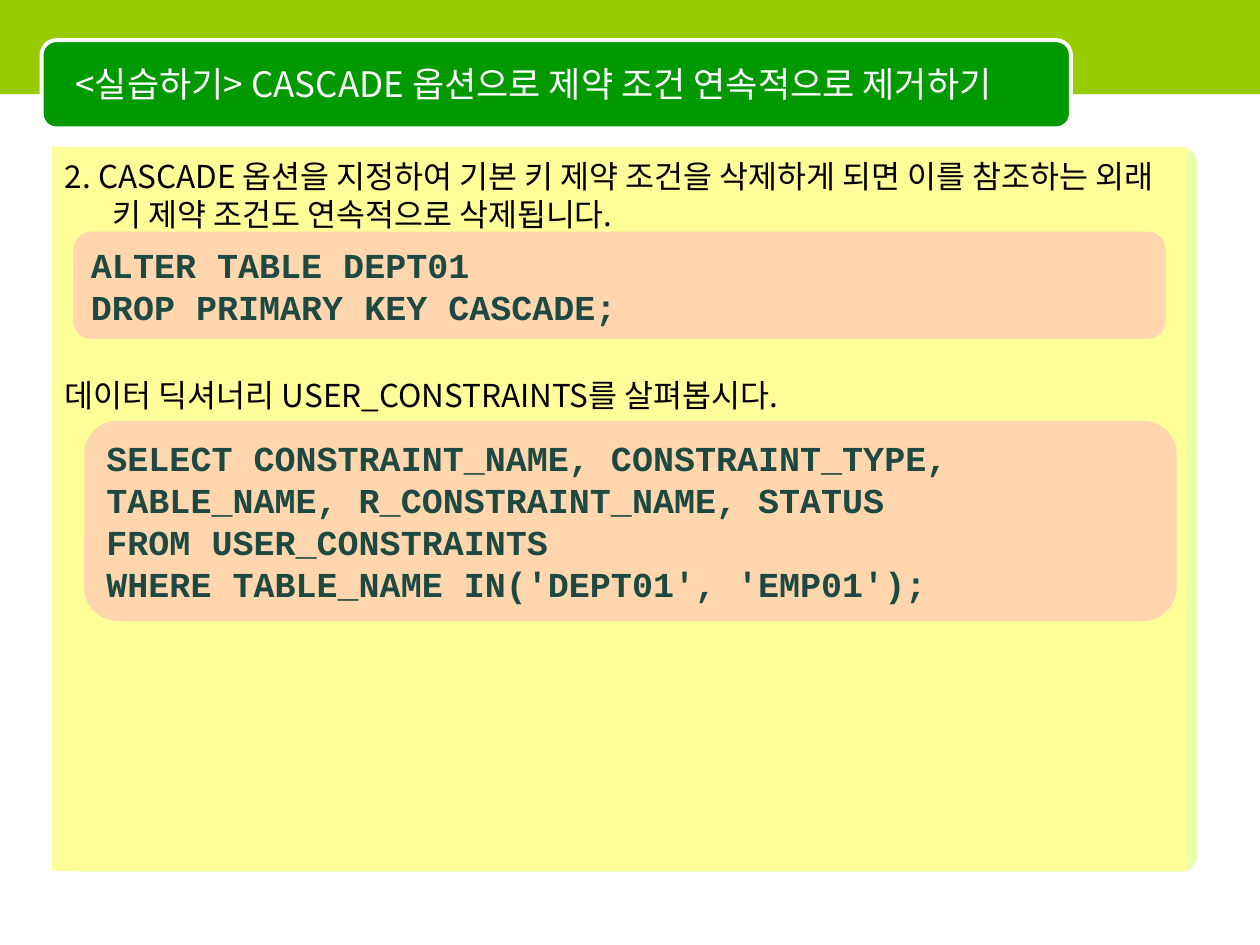
import dataclasses

import lxml.etree
import pptx
import pptx.dml.color
import pptx.enum.shapes
import pptx.enum.text
import pptx.oxml.ns
import pptx.util

Cm = pptx.util.Cm
Pt = pptx.util.Pt
SHAPES = pptx.enum.shapes.MSO_SHAPE
MIDDLE = pptx.enum.text.MSO_ANCHOR.MIDDLE
TOP = pptx.enum.text.MSO_ANCHOR.TOP


@dataclasses.dataclass(frozen=True)
class Theme:
    band: str = "99CC00"
    banner: str = "009900"
    white: str = "FFFFFF"
    black: str = "000000"
    backing: str = "CCFF33"
    panel: str = "FFFF99"
    code_fill: str = "FF99CC"
    code_text: str = "1D4940"
    korean: str = "Noto Sans CJK KR"
    mono: str = "Courier New"
    title_size: int = 20
    body_size: int = 18
    code_size: int = 20


class Lesson:
    def __init__(self, slide, theme):
        self.slide = slide
        self.theme = theme

    def block(self, box, fill, corner=None, opacity=None, line=None, line_width=0.75):
        kind = SHAPES.RECTANGLE if corner is None else SHAPES.ROUNDED_RECTANGLE
        block = self.slide.shapes.add_shape(kind, *map(Cm, box))
        block.shadow.inherit = False
        if corner is not None:
            block.adjustments[0] = corner
        block.fill.solid()
        block.fill.fore_color.rgb = pptx.dml.color.RGBColor.from_string(fill)
        if opacity is not None:
            color = block._element.spPr.find(".//" + pptx.oxml.ns.qn("a:srgbClr"))
            alpha = lxml.etree.SubElement(color, pptx.oxml.ns.qn("a:alpha"))
            alpha.set("val", str(opacity * 1000))
        if line:
            block.line.color.rgb = pptx.dml.color.RGBColor.from_string(line)
            block.line.width = Pt(line_width)
        else:
            block.line.fill.background()
        return block

    def add_lines(self, holder, lines, font, size, color, bold=False, anchor=MIDDLE):
        frame = holder.text_frame
        frame.word_wrap = True
        frame.vertical_anchor = anchor
        for number, line in enumerate(lines):
            paragraph = frame.add_paragraph() if number else frame.paragraphs[0]
            paragraph.alignment = pptx.enum.text.PP_ALIGN.LEFT
            run = paragraph.add_run()
            run.text = line
            run.font.name = font
            run.font.size = Pt(size)
            run.font.bold = bold
            run.font.color.rgb = pptx.dml.color.RGBColor.from_string(color)
            properties = run._r.get_or_add_rPr()
            east_asian = lxml.etree.SubElement(properties, pptx.oxml.ns.qn("a:ea"))
            east_asian.set("typeface", font)
        return frame

    def title(self, box, heading):
        theme = self.theme
        holder = self.slide.shapes.add_textbox(*map(Cm, box))
        self.add_lines(holder, [heading], theme.korean, theme.title_size, theme.white)

    def explanation(self, box, steps, gap):
        theme = self.theme
        panel = self.block(box, theme.panel, line=theme.panel)
        frame = self.add_lines(panel, steps, theme.korean, theme.body_size, theme.black,
                               anchor=TOP)
        frame.margin_top = Cm(0.19)
        for number, paragraph in enumerate(frame.paragraphs):
            paragraph.line_spacing = Pt(21.7)
            paragraph.space_before = Pt(gap if number else 0)
            indent = paragraph._p.get_or_add_pPr()
            indent.set("marL", str(Cm(0.95)))
            indent.set("indent", str(-Cm(0.95)))

    def code(self, box, statement):
        theme = self.theme
        panel = self.block(box, theme.code_fill, corner=0.167, opacity=40)
        self.add_lines(panel, statement, theme.mono, theme.code_size, theme.code_text,
                       bold=True)


def main():
    deck = pptx.Presentation()
    deck.slide_width, deck.slide_height = Cm(25.4), Cm(19.05)
    theme = Theme()
    lesson = Lesson(deck.slides.add_slide(deck.slide_layouts[6]), theme)

    lesson.block((1.27, 2.97, 22.86, 14.6), theme.backing, corner=0.021, opacity=40)
    lesson.block((0, 0, 25.4, 1.9), theme.band)
    lesson.block((0.84, 0.81, 20.75, 1.78), theme.banner, corner=0.167,
                 line=theme.white, line_width=2.25)
    lesson.title((1.27, 0.89, 20.12, 1.57),
                 "<실습하기> CASCADE 옵션으로 제약 조건 연속적으로 제거하기")
    lesson.explanation((1.06, 2.97, 22.86, 14.58), [
        "2. CASCADE 옵션을 지정하여 기본 키 제약 조건을 삭제하게 되면 이를 참조하는 "
        "외래 키 제약 조건도 연속적으로 삭제됩니다.",
        "데이터 딕셔너리 USER_CONSTRAINTS를 살펴봅시다.",
    ], gap=82)
    lesson.code((1.48, 4.67, 22.02, 2.16), [
        "ALTER TABLE DEPT01",
        "DROP PRIMARY KEY CASCADE;",
    ])
    lesson.code((1.7, 8.48, 22.02, 4.04), [
        "SELECT CONSTRAINT_NAME, CONSTRAINT_TYPE,",
        "TABLE_NAME, R_CONSTRAINT_NAME, STATUS",
        "FROM USER_CONSTRAINTS",
        "WHERE TABLE_NAME IN('DEPT01', 'EMP01');",
    ])
    deck.save("out.pptx")


if __name__ == "__main__":
    main()
